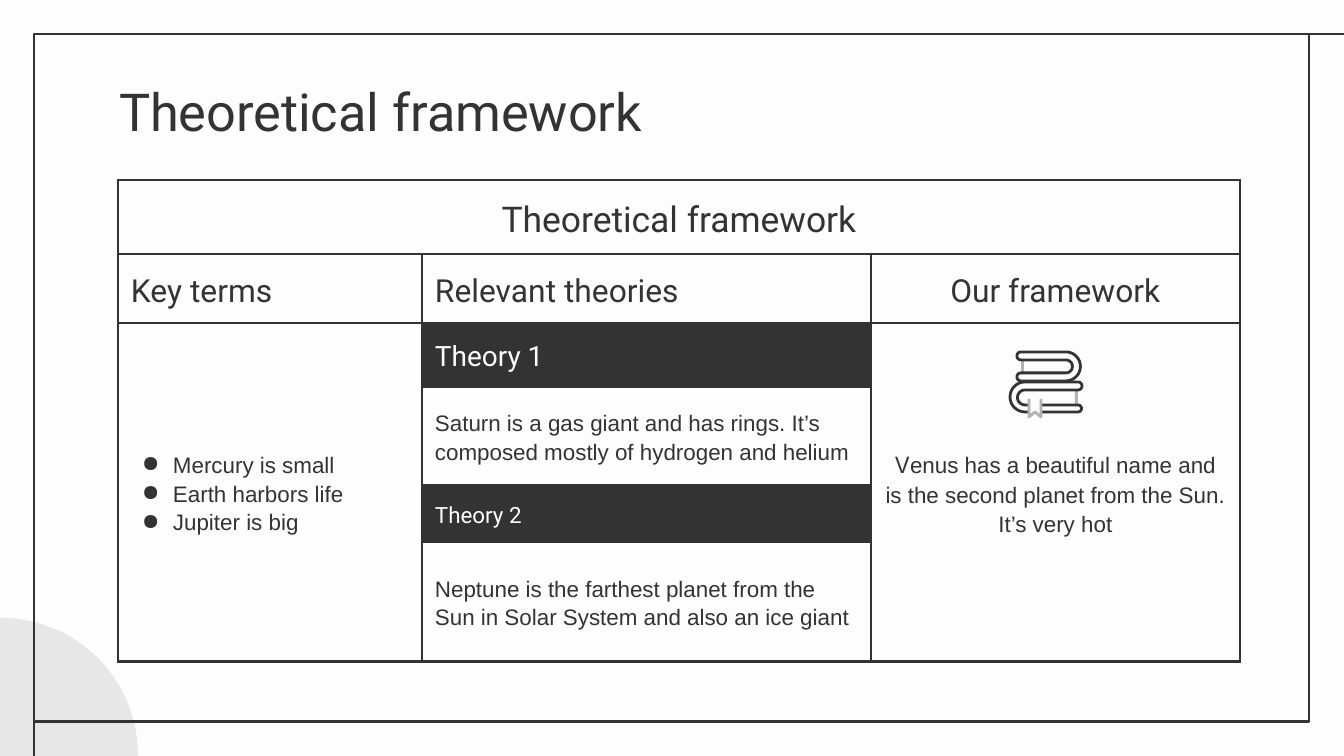
"""Build the theoretical framework slide: a merged table with a books icon."""
from math import cos, pi, sin

from lxml.etree import SubElement
from pptx import Presentation
from pptx.dml.color import RGBColor
from pptx.enum.shapes import MSO_CONNECTOR as Connector, MSO_SHAPE as Shape
from pptx.enum.text import MSO_ANCHOR as Anchor, MSO_AUTO_SIZE as AutoSize, PP_ALIGN as Align
from pptx.oxml import parse_xml
from pptx.oxml.ns import nsdecls, qn
from pptx.util import Pt

DARK, PAPER, GRAY, PALE = "333333", "FDFDFD", "B2B2B2", "E8E7E7"
HEAD, BODY = "Roboto", "Arial"
INSET, BORDER = 13, 1.5

TITLE = "Theoretical framework"
TITLE_BOX = (106, 66, 1133, 85)
CIRCLE = (-136, 618, 274, 274)
FRAME = (34, 34, 1275, 688)
FRAME_TAILS = [(1344, 34, 1309, 34), (34, 756, 34, 719)]

TABLE_AT = (118, 180)
COLUMNS = [304, 449, 369]
ROWS = [65, 60, 56, 99, 50, 120]
CELLS = [
    {"at": (0, 0), "span": (1, 3), "size": 19, "align": Align.CENTER,
     "text": [[("Theoretical framework", HEAD)]]},
    {"at": (1, 0), "size": 17, "text": [[("Key terms", HEAD)]]},
    {"at": (1, 1), "size": 17, "text": [[("Relevant theories", HEAD)]]},
    {"at": (1, 2), "size": 17, "align": Align.CENTER, "text": [[("Our framework", HEAD)]]},
    {"at": (2, 0), "span": (4, 1), "bullet": True,
     "text": [[("Mercury is small", BODY)], [("Earth harbors life", BODY)], [("Jupiter is big", BODY)]]},
    {"at": (2, 1), "size": 15, "dark": True, "text": [[("Theory 1", HEAD)]]},
    {"at": (2, 2), "span": (4, 1), "align": Align.CENTER,
     "text": [[("V", "Inter"),
               ("enus has a beautiful name and is the second planet from the Sun. It’s very hot", BODY)]]},
    {"at": (3, 1),
     "text": [[("Saturn is a gas giant and has rings. It’s composed mostly of hydrogen and helium", BODY)]]},
    {"at": (4, 1), "dark": True, "text": [[("Theory 2", HEAD)]]},
    {"at": (5, 1),
     "text": [[("Neptune is the farthest planet from the Sun in Solar System and also an ice giant", BODY)]]},
]

PAGE_EDGES = [(1075, 390, 3, 15), (1021, 360, 3, 12)]
BOOKS = [
    {"spine": 1066, "edge": 1021, "side": 1, "levels": (352, 360, 373, 381)},
    {"spine": 1025, "edge": 1078, "side": -1, "levels": (382, 390, 405, 412)},
]
BOOKMARK = [(1029, 399), (1029, 417), (1035, 412), (1041, 417), (1041, 399)]


def px(value):
    return round(value * 914400 / 134.4)


def color(value):
    return RGBColor.from_string(value)


def paint(shape, fill=None, line=None, width=BORDER):
    shape.shadow.inherit = False
    if fill:
        shape.fill.solid()
        shape.fill.fore_color.rgb = color(fill)
    else:
        shape.fill.background()
    if line:
        shape.line.color.rgb = color(line)
        shape.line.width = Pt(width)
    else:
        shape.line.fill.background()


def add_run(paragraph, text, font, size, ink):
    run = paragraph.add_run()
    run.text = text
    run.font.name = font
    run.font.size = Pt(size)
    run.font.color.rgb = color(ink)


def add_bullet(paragraph):
    properties = paragraph._p.get_or_add_pPr()
    properties.set("marL", str(px(42)))
    properties.set("indent", str(px(-31)))
    bullet_color = SubElement(properties, qn("a:buClr"))
    SubElement(bullet_color, qn("a:srgbClr")).set("val", DARK)
    SubElement(properties, qn("a:buChar")).set("char", "●")


def add_borders(cell):
    properties = cell._tc.get_or_add_tcPr()
    for index, side in enumerate(("lnL", "lnR", "lnT", "lnB")):
        properties.insert(index, parse_xml(
            f'<a:{side} {nsdecls("a")} w="{Pt(BORDER)}"><a:solidFill>'
            f'<a:srgbClr val="{DARK}"/></a:solidFill></a:{side}>'))


def fill_cell(cell, content):
    dark = content.get("dark", False)
    cell.fill.solid()
    cell.fill.fore_color.rgb = color(DARK if dark else PAPER)
    cell.vertical_anchor = Anchor.MIDDLE
    for index, runs in enumerate(content["text"]):
        frame = cell.text_frame
        paragraph = frame.add_paragraph() if index else frame.paragraphs[0]
        paragraph.alignment = content.get("align", Align.LEFT)
        paragraph.line_spacing = 1.15
        if content.get("bullet"):
            add_bullet(paragraph)
        for text, font in runs:
            add_run(paragraph, text, font, content.get("size", 12), PAPER if dark else DARK)


def add_framework_table(slide):
    box = (*TABLE_AT, sum(COLUMNS), sum(ROWS))
    table = slide.shapes.add_table(len(ROWS), len(COLUMNS), *map(px, box)).table
    table.first_row = table.horz_banding = False
    for column, width in zip(table.columns, COLUMNS):
        column.width = px(width)
    for row, height in zip(table.rows, ROWS):
        row.height = px(height)
    for cell in table.iter_cells():
        cell.margin_left = cell.margin_right = cell.margin_top = cell.margin_bottom = px(INSET)
        add_borders(cell)
    for content in CELLS:
        row, column = content["at"]
        height, width = content.get("span", (1, 1))
        cell = table.cell(row, column)
        if height * width > 1:
            cell.merge(table.cell(row + height - 1, column + width - 1))
        fill_cell(cell, content)


def half_circle(x, start, end, side, steps=16):
    middle, radius = (start + end) / 2, (end - start) / 2
    angles = [pi * step / steps for step in range(steps + 1)]
    return [(x + side * abs(radius) * sin(angle), middle - radius * cos(angle)) for angle in angles]


def book_outline(spine, edge, side, levels):
    top, inner_top, inner_bottom, bottom = levels
    return (half_circle(spine, top, bottom, side) + half_circle(edge, bottom, inner_bottom, -side)
            + half_circle(spine, inner_bottom, inner_top, side) + half_circle(edge, inner_top, top, -side))


def add_outline(slide, points, close):
    points = [(px(x), px(y)) for x, y in points]
    builder = slide.shapes.build_freeform(*points[0])
    builder.add_line_segments(points[1:], close=close)
    return builder.convert_to_shape()


def add_books_icon(slide):
    for box in PAGE_EDGES:
        paint(slide.shapes.add_shape(Shape.RECTANGLE, *map(px, box)), fill=GRAY)
    for book in BOOKS:
        paint(add_outline(slide, book_outline(**book), True), line=DARK)
    paint(add_outline(slide, BOOKMARK, False), fill=PAPER, line=GRAY)


def add_frame(slide):
    paint(slide.shapes.add_shape(Shape.OVAL, *map(px, CIRCLE)), fill=PALE)
    paint(slide.shapes.add_shape(Shape.RECTANGLE, *map(px, FRAME)), line=DARK)
    for ends in FRAME_TAILS:
        tail = slide.shapes.add_connector(Connector.STRAIGHT, *map(px, ends))
        tail.line.color.rgb = color(DARK)
        tail.line.width = Pt(BORDER)
        SubElement(tail._element.spPr, qn("a:effectLst"))


def set_title(slide):
    title = slide.shapes.title
    title.left, title.top, title.width, title.height = map(px, TITLE_BOX)
    frame = title.text_frame
    frame.auto_size = AutoSize.NONE
    frame.word_wrap = True
    frame.vertical_anchor = Anchor.TOP
    frame.margin_left = frame.margin_right = frame.margin_top = frame.margin_bottom = px(INSET)
    frame.paragraphs[0].alignment = Align.LEFT
    add_run(frame.paragraphs[0], TITLE, HEAD, 28, DARK)


def main():
    presentation = Presentation()
    presentation.slide_width, presentation.slide_height = px(1344), px(756)
    slide = presentation.slides.add_slide(presentation.slide_layouts[5])
    slide.background.fill.solid()
    slide.background.fill.fore_color.rgb = color(PAPER)
    add_frame(slide)
    set_title(slide)
    add_framework_table(slide)
    add_books_icon(slide)
    presentation.save("out.pptx")


if __name__ == "__main__":
    main()
